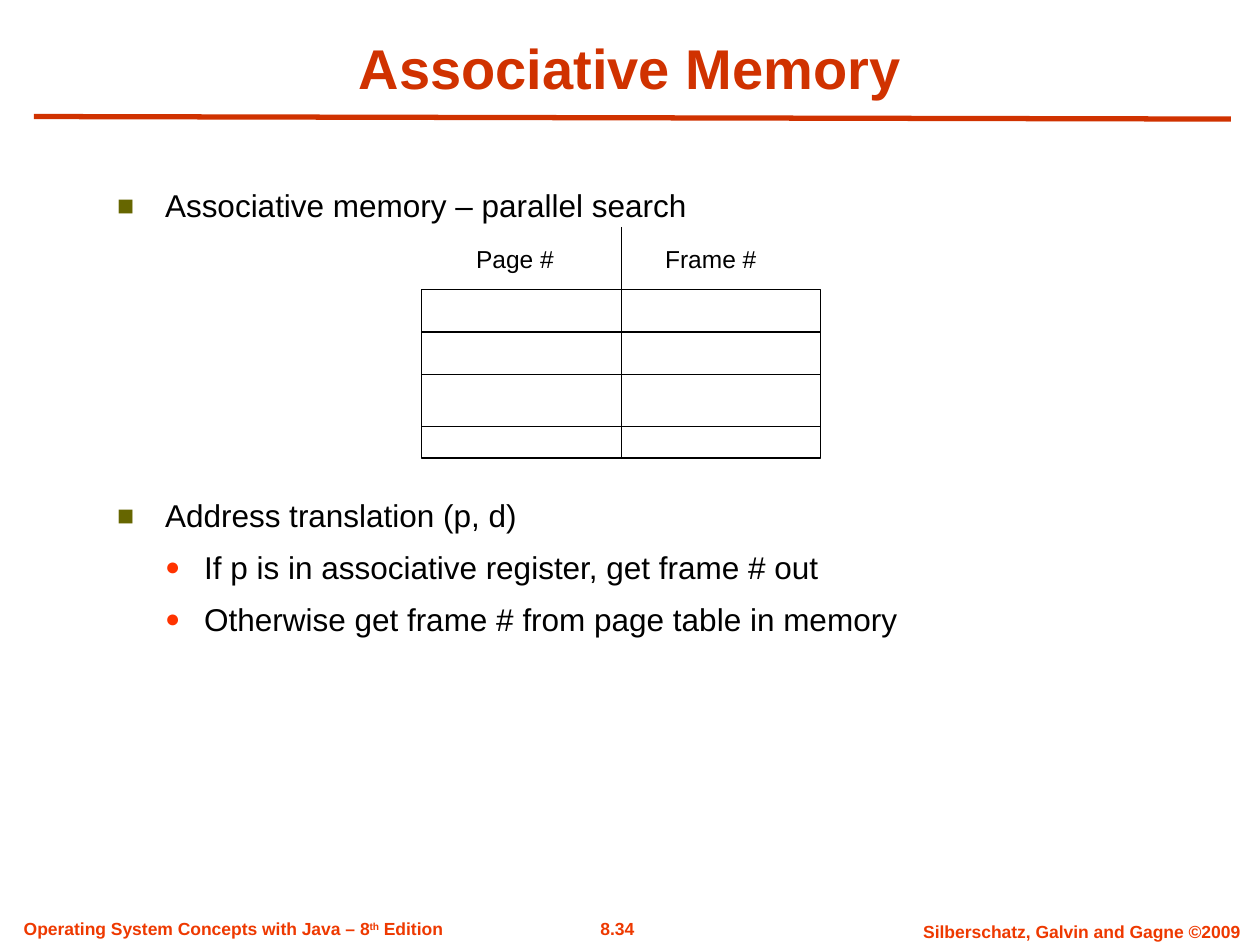
import pptx
import pptx.util
import pptx.dml.color
import pptx.enum.shapes
import pptx.enum.text
import pptx.oxml
import pptx.oxml.ns
from lxml import etree

Pt = pptx.util.Pt
RGB = pptx.dml.color.RGBColor.from_string
ALIGN = pptx.enum.text.PP_ALIGN
ANCHOR = pptx.enum.text.MSO_ANCHOR
FIT = pptx.enum.text.MSO_AUTO_SIZE
qn = pptx.oxml.ns.qn

THEME = {
    "font": "Arial",
    # size, colour, bold
    "title": (32, "D03200", True),
    "body": (18, "000000", False),
    "head": (14, "000000", False),
    "foot": (10, "EE3900", True),
    "rule": "D03200",
    "grid": "000000",
    "cell": "FFFFFF",
    # mark, colour, size in percent, left indent, hanging indent
    "marks": [("■", "666600", 90, 3.8, 3.8), ("●", "FF3300", 80, 6.9, 3.1)],
}

deck = pptx.Presentation()
deck.slide_width = pptx.util.Inches(10)
deck.slide_height = pptx.util.Inches(7.5)
unit = deck.slide_width / 100  # the slide is a grid of 100 columns by 75 rows
slide = deck.slides.add_slide(deck.slide_layouts[1])
shapes = slide.shapes


def style(frame, kind):
    """Format every run of the frame with one of the theme's type styles."""
    size, color, bold = THEME[kind]
    for para in frame.paragraphs:
        for run in para.runs:
            run.font.name = THEME["font"]
            run.font.size = Pt(size)
            run.font.bold = bold
            run.font.color.rgb = RGB(color)


def draw(x1, y1, x2, y2, color, width):
    """Draw a straight line without shadow between two grid points."""
    ends = [round(v * unit) for v in (x1, y1, x2, y2)]
    line = shapes.add_connector(pptx.enum.shapes.MSO_CONNECTOR.STRAIGHT, *ends)
    line.line.color.rgb = RGB(color)
    line.line.width = Pt(width)
    etree.SubElement(line._element.spPr, qn("a:effectLst"))
    return line


# Footer and title rule
for parts, align, area in [
    (["8.34"], ALIGN.CENTER, (44.1, 72.35, 9.8, 2.7)),
    (["Silberschatz, Galvin and Gagne ©2009"], ALIGN.CENTER,
     (71, 72.6, 29.7, 2.7)),
    (["Operating System Concepts with Java – 8", "th", " Edition"], ALIGN.LEFT,
     (0.9, 72.4, 38, 2.7)),
]:
    frame = shapes.add_textbox(*[round(v * unit) for v in area]).text_frame
    frame.word_wrap = True
    frame.auto_size = FIT.SHAPE_TO_FIT_TEXT
    para = frame.paragraphs[0]
    para.alignment = align
    for part in parts:
        run = para.add_run()
        run.text = part
        if part == "th":
            run.font._element.set("baseline", "30000")
    style(frame, "foot")
draw(2.7, 9.25, 97.7, 9.45, THEME["rule"], 3)

# Title
title = shapes.title
title.left, title.top, title.width, title.height = [
    round(v * unit) for v in (5, 2.2, 90, 6.3)]
frame = title.text_frame
frame.text = "Associative Memory"
frame.auto_size = FIT.NONE
frame.vertical_anchor = ANCHOR.BOTTOM
frame.paragraphs[0].alignment = ALIGN.CENTER
style(frame, "title")

# List: the second point leaves room for the table above it
body = slide.placeholders[1]
body.left, body.top, body.width, body.height = [
    round(v * unit) for v in (8.3, 14.3, 80.4, 49)]
frame = body.text_frame
items = [
    ("Associative memory – parallel search", 0, 0),
    ("Address translation (p, d)", 0, 155.5),
    ("If p is in associative register, get frame # out", 1, 7.9),
    ("Otherwise get frame # from page table in memory", 1, 7.9),
]
frame.text = "\n".join(item[0] for item in items)
frame.auto_size = FIT.NONE
for para, (text, level, gap) in zip(frame.paragraphs, items):
    mark, color, share, left, hang = THEME["marks"][level]
    para.level = level
    para.space_before = Pt(gap)
    props = para._p.get_or_add_pPr()
    props.set("marL", str(round(left * unit)))
    props.set("indent", str(round(-hang * unit)))
    tint = etree.SubElement(props, qn("a:buClr"))
    etree.SubElement(tint, qn("a:srgbClr")).set("val", color)
    etree.SubElement(props, qn("a:buSzPct")).set("val", str(share * 1000))
    etree.SubElement(props, qn("a:buFont")).set("typeface", THEME["font"])
    etree.SubElement(props, qn("a:buChar")).set("char", mark)
style(frame, "body")

# Register table: a frame, the column line and the row lines
left, top, wide, high = 33.45, 23, 31.7, 13.35
table = shapes.add_shape(
    pptx.enum.shapes.MSO_SHAPE.RECTANGLE,
    *[round(v * unit) for v in (left, top, wide, high)])
table.shadow.inherit = False
table.fill.solid()
table.fill.fore_color.rgb = RGB(THEME["cell"])
table.line.color.rgb = RGB(THEME["grid"])
table.line.width = Pt(0.75)
mid = left + wide / 2
split = draw(mid, 18, mid, top + high, THEME["grid"], 0.75)
split.end_connect(table, 2)
for row in (26.35, 29.7, 33.85):
    draw(left, row, left + wide, row, THEME["grid"], 0.75)

for col, text in enumerate(["Page #", "Frame #"]):
    area = (36.8 + 15 * col, 18.9, 14.2, 3.3)
    frame = shapes.add_textbox(*[round(v * unit) for v in area]).text_frame
    frame.text = text
    frame.word_wrap = True
    frame.vertical_anchor = ANCHOR.MIDDLE
    style(frame, "head")

deck.save("out.pptx")
